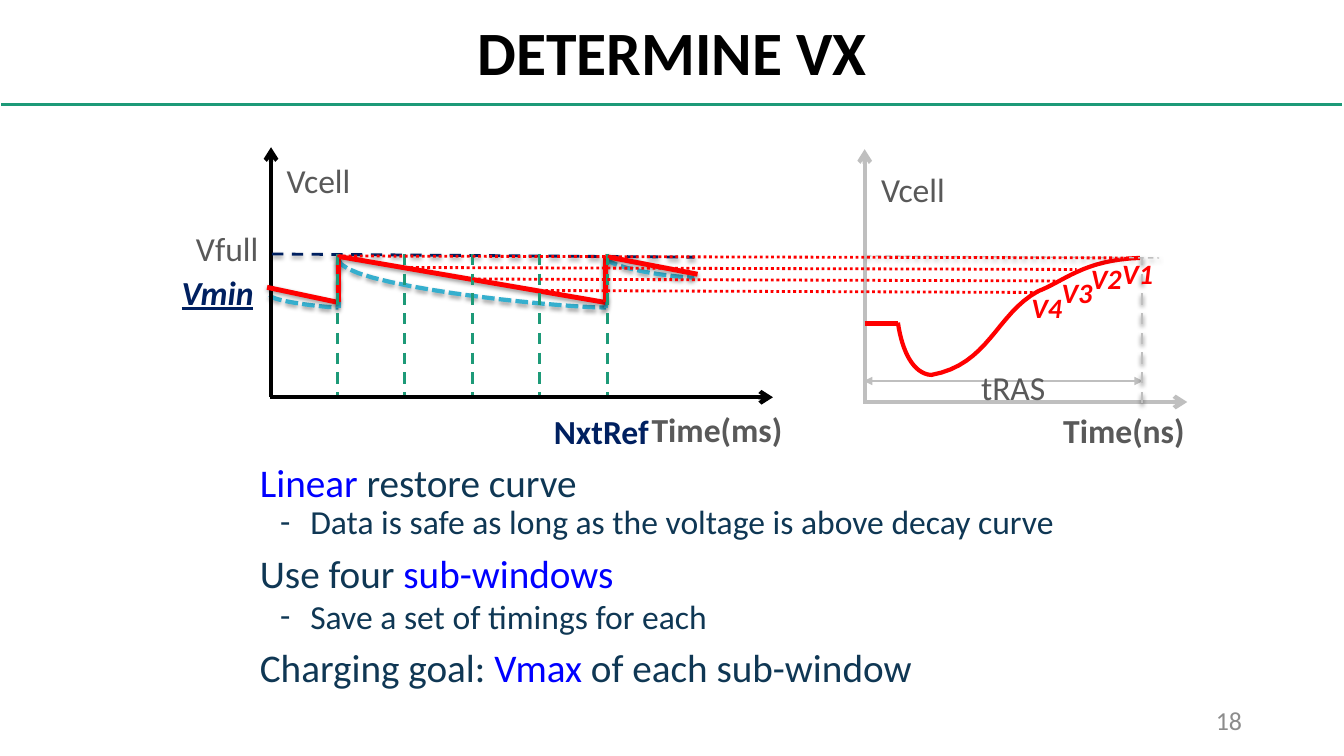
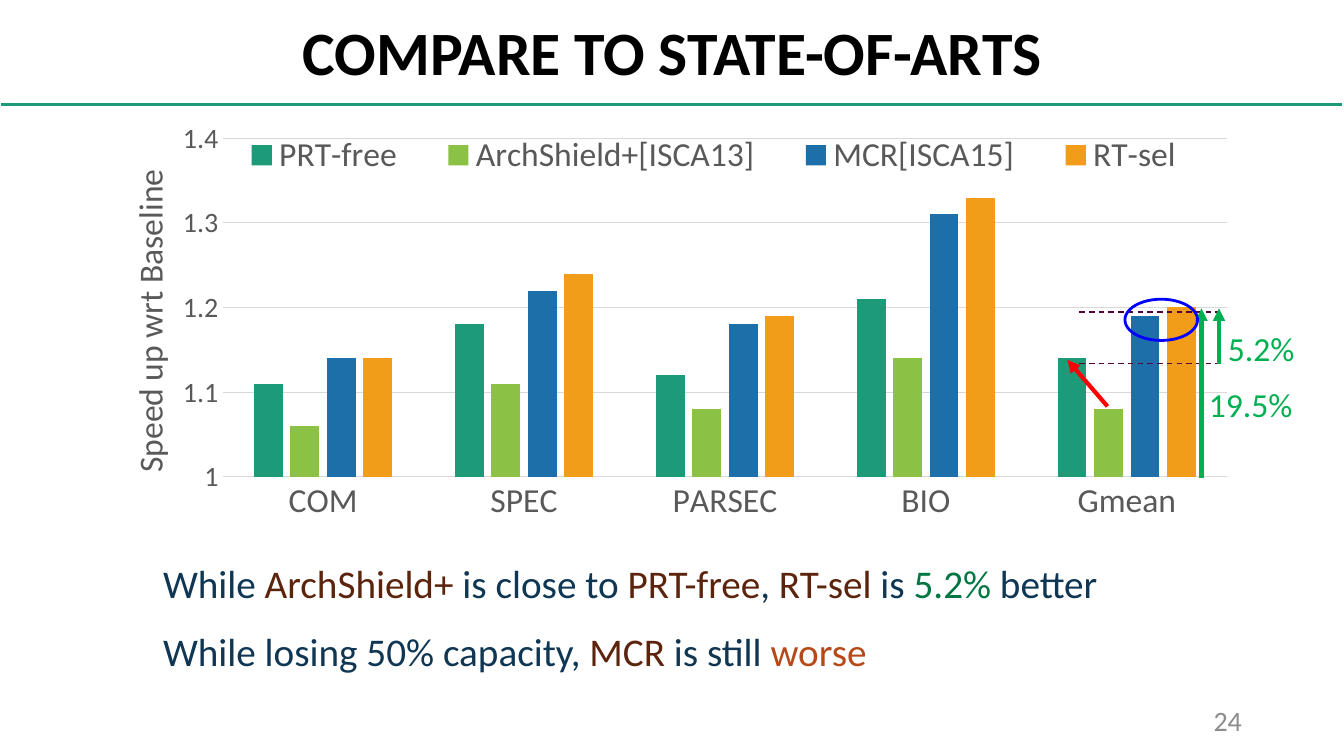
from itertools import pairwise

from lxml import etree
from pptx import Presentation
from pptx.chart.data import CategoryChartData
from pptx.dml.color import RGBColor
from pptx.enum.chart import XL_CHART_TYPE, XL_LEGEND_POSITION, XL_TICK_MARK
from pptx.enum.dml import MSO_LINE
from pptx.enum.shapes import MSO_CONNECTOR, MSO_SHAPE
from pptx.enum.text import MSO_ANCHOR, PP_ALIGN
from pptx.oxml import parse_xml
from pptx.oxml.ns import nsdecls, qn
from pptx.util import Cm, Pt

# Shared look
FONT = "Calibri"
TEAL, RED, BLUE, GREEN = "1D9A78", "FF0000", "0000FF", "00B050"
BLACK, NAVY, INK, BROWN = "000000", "002060", "0F3754", "5C240C"
GREY, AXIS_GREY, GRID = "595959", "BFBFBF", "D9D9D9"
DECAY = "36AFCE"
DASH, DOT, SHORT_DASH = MSO_LINE.DASH, MSO_LINE.ROUND_DOT, MSO_LINE.SQUARE_DOT


def rgb(value):
    return RGBColor.from_string(value)


def set_font(font, size, color, bold=False, italic=False, underline=False):
    font.name, font.size, font.color.rgb = FONT, Pt(size), rgb(color)
    font.bold, font.italic, font.underline = bold, italic, underline


# Lines and curves
def style_line(sp, color, width, dash=None, head=None, tail=None, shadow=False):
    sp.line.color.rgb = rgb(color)
    sp.line.width = Pt(width)
    if dash is not None:
        sp.line.dash_style = dash
    spPr = sp._element.spPr
    ln = spPr.find(qn("a:ln"))
    for tag, kind in (("a:headEnd", head), ("a:tailEnd", tail)):
        if kind:
            etree.SubElement(ln, qn(tag)).set("type", kind)
    effect = ('<a:outerShdw blurRad="40000" dist="20000" dir="5400000" rotWithShape="0">'
              '<a:srgbClr val="000000"><a:alpha val="38000"/></a:srgbClr>'
              '</a:outerShdw>') if shadow else ""
    spPr.append(parse_xml(f'<a:effectLst {nsdecls("a")}>{effect}</a:effectLst>'))


def add_line(s, start, end, color, width, **style):
    sp = s.shapes.add_connector(MSO_CONNECTOR.STRAIGHT, *map(Cm, (*start, *end)))
    style_line(sp, color, width, **style)


def bezier(p0, p1, p2, p3, steps=16):
    for i in range(1, steps + 1):
        t = i / steps
        weights = ((1 - t) ** 3, 3 * t * (1 - t) ** 2, 3 * t * t * (1 - t), t ** 3)
        yield tuple(Cm(sum(w * p[axis] for w, p in zip(weights, (p0, p1, p2, p3))))
                    for axis in (0, 1))


def add_curve(s, points, color, width, **style):
    """Chain cubic segments: a start, then two handles and an end for each."""
    builder = s.shapes.build_freeform(*map(Cm, points[0]))
    for i in range(0, len(points) - 1, 3):
        builder.add_line_segments(list(bezier(*points[i:i + 4])), close=False)
    sp = builder.convert_to_shape()
    sp.fill.background()
    style_line(sp, color, width, **style)


# Text
def add_run(p, text, size, color, **style):
    r = p.add_run()
    r.text = text
    set_font(r.font, size, color, **style)


def add_label(s, box, text, size=24, color=GREY, align=PP_ALIGN.CENTER, **style):
    tf = s.shapes.add_textbox(*map(Cm, box)).text_frame
    tf.vertical_anchor = MSO_ANCHOR.MIDDLE
    tf.word_wrap = False
    tf.paragraphs[0].alignment = align
    add_run(tf.paragraphs[0], text, size, color, **style)


def add_body(s, box):
    tf = s.shapes.add_textbox(*map(Cm, box)).text_frame
    tf.word_wrap = True
    return tf


def add_para(tf, runs, size=28, after=0, spacing=None, bullet=False):
    p = tf.paragraphs[0]
    if p.runs:
        p = tf.add_paragraph()
    if bullet:
        pPr = p._p.get_or_add_pPr()
        pPr.set("marL", str(Cm(1.27)))
        pPr.set("indent", str(-Cm(0.76)))
        etree.SubElement(pPr, qn("a:buFont")).set("typeface", FONT)
        etree.SubElement(pPr, qn("a:buChar")).set("char", "-")
    p.space_after = Pt(after)
    if spacing:
        p.line_spacing = spacing
    for text, color in runs:
        add_run(p, text, size, color)


def add_slide(prs, title, number, number_size):
    s = prs.slides.add_slide(prs.slide_layouts[5])
    add_line(s, (0.03, 2.64), (33.81, 2.64), TEAL, 2)
    sp = s.shapes.title
    sp.left, sp.top, sp.width, sp.height = map(Cm, (2.34, 0.18, 29.21, 2.44))
    tf = sp.text_frame
    tf.vertical_anchor = MSO_ANCHOR.MIDDLE
    p = tf.paragraphs[0]
    p.alignment, p.line_spacing = PP_ALIGN.CENTER, 0.9
    add_run(p, title, 44, BLACK, bold=True)
    add_label(s, (23.93, 17.65, 7.62, 1.02), number, number_size, "8C8C8C", PP_ALIGN.RIGHT)
    return s


# Slide 1: voltage diagrams
def add_axes(s, x, top, bottom, right, color):
    add_line(s, (x, top), (x, bottom), color, 3, head="arrow")
    add_line(s, (x - 0.03, bottom), (right, bottom), color, 3, tail="arrow")


def add_decay_graph(s):
    decay = dict(color=DECAY, width=3, dash=SHORT_DASH, shadow=True)
    for points in (
        [(8.53, 6.53), (8.53, 7.19), (13.97, 7.75), (15.27, 7.75)],
        [(6.81, 7.44), (6.83, 7.59), (8.2, 7.75), (8.53, 7.75)],
        [(15.29, 6.5), (15.34, 6.76), (17.09, 7.01), (17.5, 6.99)],
    ):
        add_curve(s, points, **decay)
    for x in (8.53, 15.27):
        add_line(s, (x, 7.75), (x, 6.53), **decay)
    add_axes(s, 6.83, 3.71, 10.01, 19.48, BLACK)
    add_line(s, (6.86, 6.4), (17.5, 6.48), NAVY, 2, dash=DASH, shadow=True)


def add_restore_graph(s):
    add_axes(s, 21.79, 3.76, 10.13, 29.92, AXIS_GREY)
    add_line(s, (21.79, 8.15), (22.63, 8.15), RED, 3)
    add_curve(s, [(22.63, 8.13), (22.73, 8.84), (23.01, 9.42), (23.47, 9.45),
                  (24.92, 9.19), (25.1, 7.92), (26.16, 7.34),
                  (26.82, 7.09), (27.31, 6.55), (28.73, 6.5)], RED, 3)
    add_line(s, (21.82, 6.45), (29.21, 6.5), AXIS_GREY, 1, dash=DASH, shadow=True)
    add_line(s, (21.77, 9.6), (28.8, 9.6), AXIS_GREY, 2, head="triangle", tail="triangle")
    add_label(s, (24.28, 9.47, 2.51, 0.56), "tRAS")
    add_line(s, (28.78, 10.16), (28.78, 6.48), AXIS_GREY, 2, dash=DASH, shadow=True)


def add_sub_windows(s):
    sawtooth = [(6.73, 7.24), (8.52, 7.62), (8.52, 6.46),
                (15.25, 7.62), (15.25, 6.46), (17.58, 6.91)]
    for start, end in pairwise(sawtooth):
        add_line(s, start, end, RED, 3.5, shadow=True)
    window_x = [8.5 + 1.7 * i for i in range(5)]
    for x in window_x:
        add_line(s, (x, 6.4), (x, 9.96), TEAL, 2, dash=DASH)
    # Voltage level at the start of each window, carried to the restore curve
    levels = [(28.47, 28.02, 6.32), (27.13, 27.23, 6.45),
              (26.8, 26.49, 6.81), (26.21, 25.73, 7.19)]
    for i, (end_x, label_x, label_y) in enumerate(levels):
        y = 6.45 + 0.29 * i
        add_line(s, (window_x[i], y), (end_x, y + 0.05), RED, 2, dash=DOT)
        add_label(s, (label_x, label_y, 1.3, 1.12), f"V{i + 1}", 20, RED,
                  bold=True, italic=True)


def build_vx_slide(prs):
    s = add_slide(prs, "DETERMINE VX", "18", 18.5)
    add_decay_graph(s)
    add_restore_graph(s)
    add_sub_windows(s)
    add_label(s, (4.24, 6.93, 2.49, 0.86), "Vmin", color=NAVY,
              bold=True, italic=True, underline=True)
    add_label(s, (4.67, 5.87, 2.11, 0.76), "Vfull")
    add_label(s, (6.91, 4.09, 2.24, 0.91), "Vcell")
    add_label(s, (21.89, 4.29, 2.24, 0.94), "Vcell")
    add_label(s, (15.82, 10.16, 4.5, 1.32), "Time(ms)", bold=True)
    add_label(s, (26.52, 10.19, 3.61, 1.27), "Time(ns)", bold=True)
    add_label(s, (13.67, 10.24, 2.97, 1.27), "NxtRef", color=NAVY, bold=True)

    tf = add_body(s, (6.3, 11.43, 21.46, 7.06))
    add_para(tf, [("Linear ", BLUE), ("restore curve", INK)])
    add_para(tf, [("Data is safe as long as the voltage is above decay curve", INK)],
             24, after=5, spacing=0.9, bullet=True)
    add_para(tf, [("Use four ", INK), ("sub-windows", BLUE)])
    add_para(tf, [("Save a set of timings for each", INK)], 24, after=5, bullet=True)
    add_para(tf, [("Charging goal: ", INK), ("Vmax ", BLUE), ("of each sub-window", INK)])


# Slide 2: speed-up chart
def set_layout(element, index, **values):
    """Place a chart part by fractions of the chart area."""
    for old in element.findall(qn("c:layout")):
        element.remove(old)
    modes = {"xMode": "edge", "yMode": "edge"}
    items = "".join(f'<c:{k} val="{v}"/>' for k, v in {**modes, **values}.items())
    element.insert(index, parse_xml(
        f'<c:layout {nsdecls("c")}><c:manualLayout>{items}</c:manualLayout></c:layout>'))


def add_speedup_chart(s):
    series = [
        ("PRT-free", (1.11, 1.18, 1.12, 1.21, 1.14), TEAL),
        ("ArchShield+[ISCA13]", (1.06, 1.11, 1.08, 1.14, 1.08), "8BC145"),
        ("MCR[ISCA15]", (1.14, 1.22, 1.18, 1.31, 1.19), "1D6FA9"),
        ("RT-sel", (1.14, 1.24, 1.19, 1.33, 1.2), "F19D19"),
    ]
    data = CategoryChartData()
    data.categories = ["COM", "SPEC", "PARSEC", "BIO", "Gmean"]
    for name, values, _ in series:
        data.add_series(name, values)
    chart = s.shapes.add_chart(XL_CHART_TYPE.COLUMN_CLUSTERED,
                               *map(Cm, (3.05, 3.05, 28.45, 10.67)), data).chart
    set_font(chart.font, 24, BLACK)
    chart.has_title = False
    plot = chart.plots[0]
    plot.gap_width, plot.overlap, plot.vary_by_categories = 219, -27, False
    for ser, (_, _, color) in zip(plot.series, series):
        ser.format.fill.solid()
        ser.format.fill.fore_color.rgb = rgb(color)
    set_layout(chart._chartSpace.chart.plotArea, 0, x=0.09, y=0.04, w=0.89, h=0.8)
    chart._chartSpace.chart.plotArea.find(".//" + qn("c:manualLayout")).insert(
        0, parse_xml(f'<c:layoutTarget {nsdecls("c")} val="inner"/>'))

    cat, val = chart.category_axis, chart.value_axis
    for axis, size in ((cat, 24), (val, 20)):
        axis.major_tick_mark = axis.minor_tick_mark = XL_TICK_MARK.NONE
        set_font(axis.tick_labels.font, size, GREY)
    val.minimum_scale, val.maximum_scale, val.major_unit = 1, 1.4, 0.1
    val.format.line.fill.background()
    for line in (cat.format.line, val.major_gridlines.format.line):
        line.color.rgb, line.width = rgb(GRID), Pt(0.75)

    tf = val.axis_title.text_frame
    tf._txBody.bodyPr.set("rot", "-5400000")
    add_run(tf.paragraphs[0], "Speed up wrt Baseline", 24, GREY)
    set_layout(val.axis_title._element, 1, x=0, y=0.1)

    chart.has_legend = True
    legend = chart.legend
    legend.position = XL_LEGEND_POSITION.BOTTOM
    legend.include_in_layout = False
    set_font(legend.font, 24, GREY)
    set_layout(legend._element, 1, x=0.08, y=0.03, w=0.89, h=0.1)


def add_gain_marks(s):
    for y in (9.16, 7.86):
        add_line(s, (27.2, y), (30.75, y), "53013C", 1, dash=DASH)
    for start, end, color in (((30.72, 7.77), (30.72, 9.17), GREEN),
                              ((26.9, 9.07), (27.91, 10.24), RED),
                              ((30.28, 7.77), (30.28, 12.04), GREEN)):
        add_line(s, start, end, color, 3, head="triangle")
    add_label(s, (30.68, 8.13, 2.21, 1.27), "5.2%", color=GREEN)
    add_label(s, (30.2, 9.55, 2.64, 1.27), "19.5%", color=GREEN)
    ring = s.shapes.add_shape(MSO_SHAPE.OVAL, *map(Cm, (28.35, 7.54, 1.83, 1.04)))
    ring.fill.background()
    style_line(ring, BLUE, 2)


def build_compare_slide(prs):
    s = add_slide(prs, "COMPARE TO STATE-OF-ARTS", "24", 20)
    add_speedup_chart(s)
    add_gain_marks(s)
    tf = add_body(s, (3.86, 13.97, 26.47, 4.57))
    add_para(tf, [("While ", INK), ("ArchShield+", BROWN), (" is close to ", INK),
                  ("PRT-free", BROWN), (", ", INK), ("RT-sel", BROWN), (" is ", INK),
                  ("5.2%", "007742"), (" better", INK)], after=15)
    add_para(tf, [("While losing 50% capacity, ", INK), ("MCR", BROWN),
                  (" is still ", INK), ("worse", "B74919")], after=15)


def main():
    prs = Presentation()
    prs.slide_width, prs.slide_height = Cm(33.87), Cm(19.05)
    build_vx_slide(prs)
    build_compare_slide(prs)
    prs.save("out.pptx")


if __name__ == "__main__":
    main()
